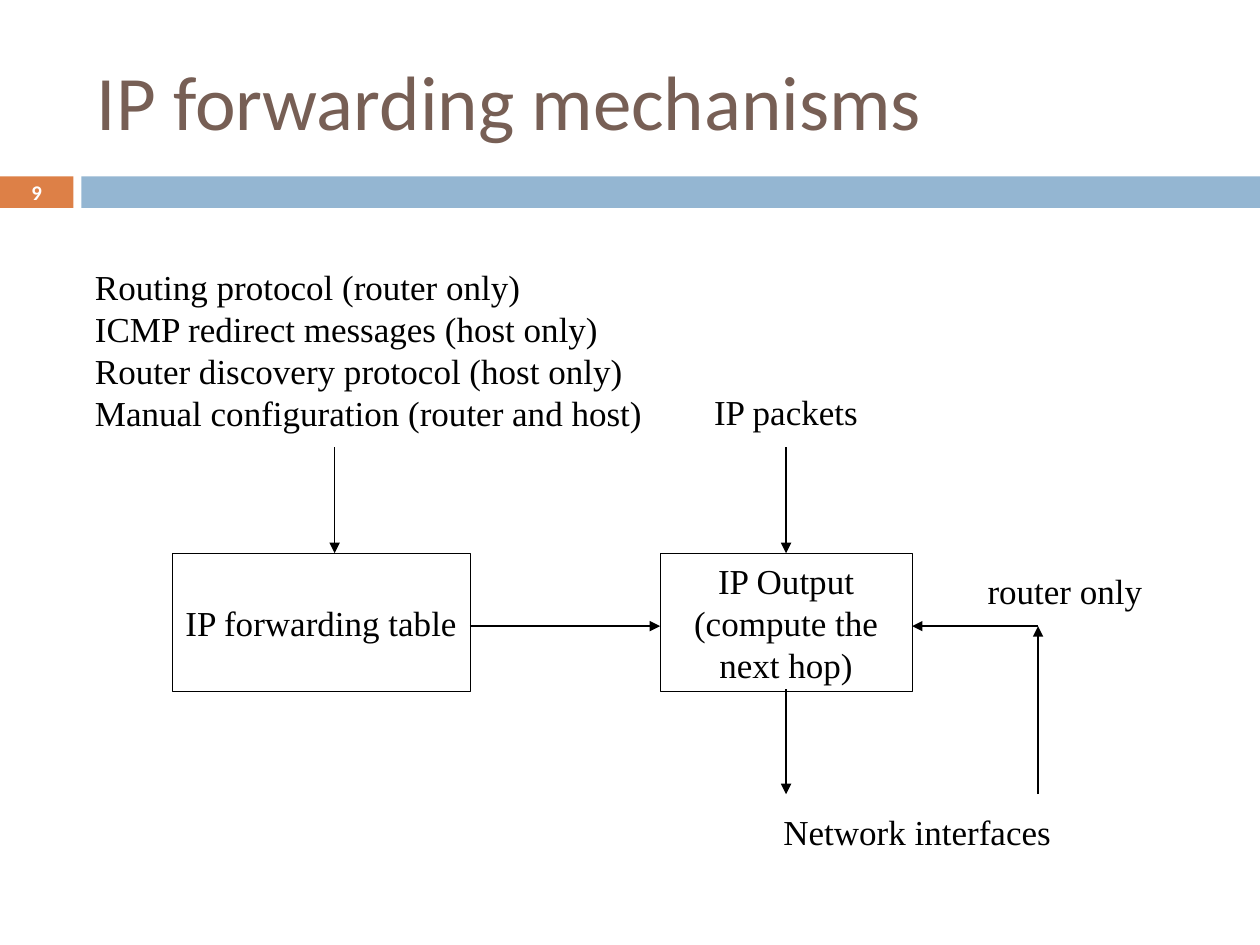
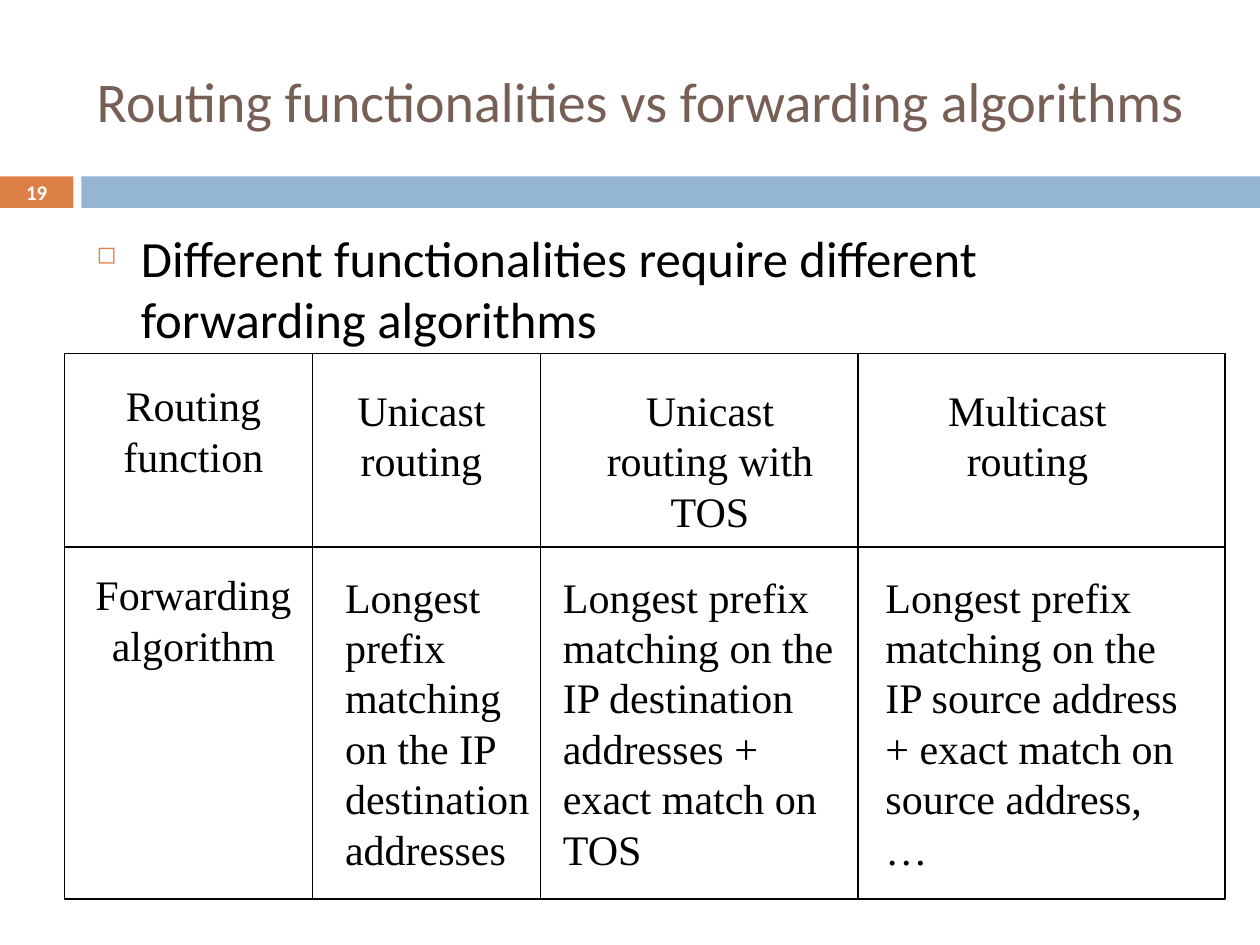
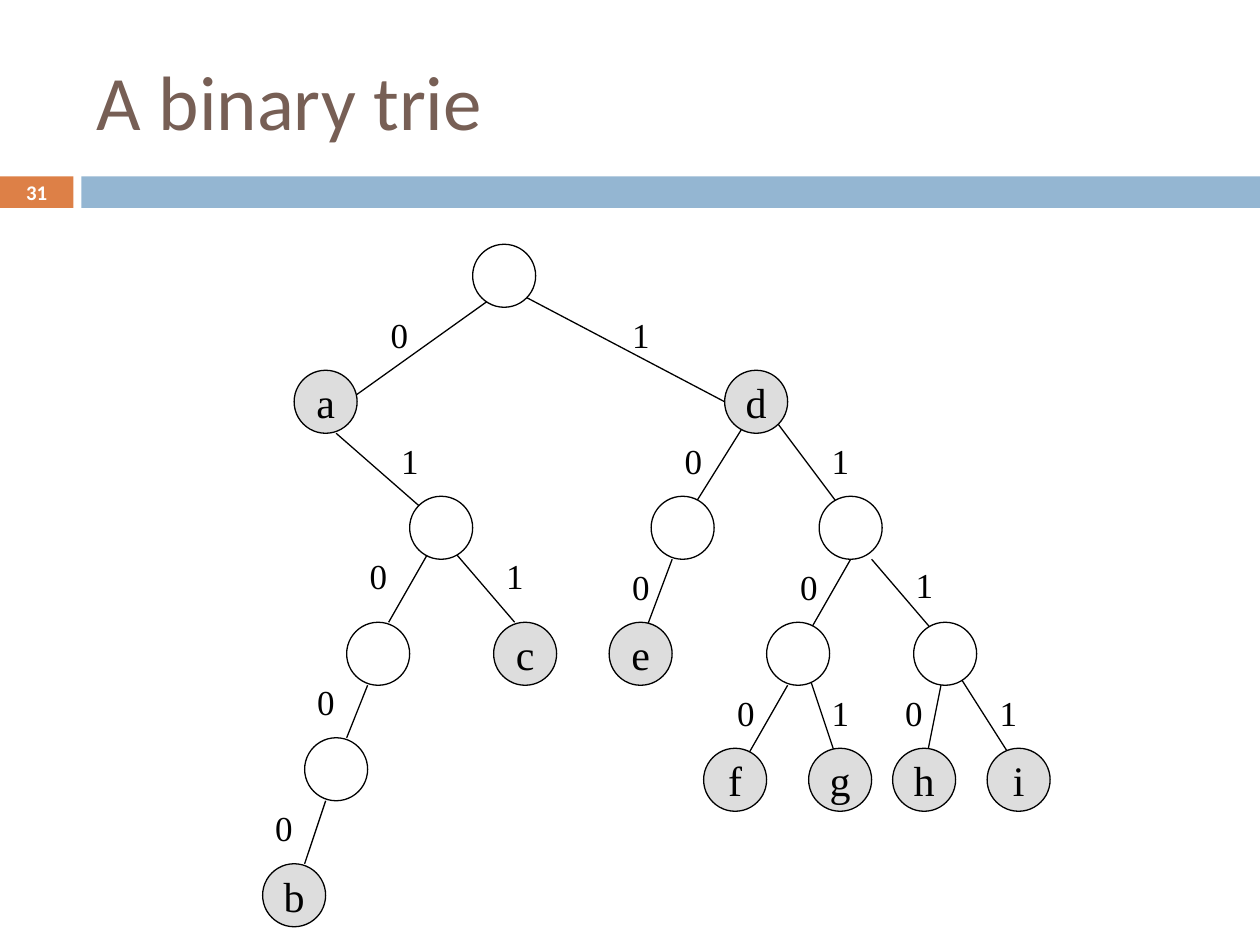
from pptx import Presentation
from pptx.dml.color import RGBColor as Rgb
from pptx.enum.shapes import MSO_CONNECTOR as Conn, MSO_SHAPE as Kind
from pptx.enum.text import MSO_ANCHOR as Anchor, PP_ALIGN as Align
from pptx.oxml import parse_xml
from pptx.oxml.ns import nsdecls, qn
from pptx.oxml.xmlchemy import OxmlElement as Tag
from pptx.util import Pt

HUES = {"ink": "000000", "white": "FFFFFF", "gray": "DDDDDD",
        "brown": "775F55", "rust": "DD8047", "blue": "94B6D2"}
SANS, SERIF = "Calibri", "Times New Roman"
MID = {"vertical_anchor": Anchor.MIDDLE}
WIDE = (48.2, 18.2, 642.2, 77.8)


def hue(name):
    """Return the named colour."""
    return Rgb.from_string(HUES[name])


def put(item, vals):
    """Set every attribute in vals on item."""
    for key, val in vals.items():
        setattr(item, key, val)


def write(frame, lines, size, face=SERIF, color="ink", align=Align.LEFT, bold=False):
    """Fill a text frame with one paragraph per line."""
    for num, line in enumerate(lines):
        para = frame.add_paragraph() if num else frame.paragraphs[0]
        para.text = line
        para.alignment = align
        if face == SERIF:
            para.line_spacing = Pt(size * 1.2)
        put(para.font, {"name": face, "size": Pt(size), "bold": bold})
        para.font.color.rgb = hue(color)


def label(slide, box, lines, size, frame=None, **style):
    """Add a text box and return its text frame."""
    text = slide.shapes.add_textbox(*map(Pt, box)).text_frame
    put(text, {"word_wrap": True, **(frame or {})})
    write(text, lines, size, **style)
    return text


def block(slide, kind, box, fill=None, line=None):
    """Add a flat shape with an optional fill and outline width."""
    item = slide.shapes.add_shape(kind, *map(Pt, box))
    item.shadow.inherit = False
    if fill:
        item.fill.solid()
        item.fill.fore_color.rgb = hue(fill)
    else:
        item.fill.background()
    if line:
        item.line.color.rgb = hue("ink")
        item.line.width = Pt(line)
    else:
        item.line.fill.background()
    return item


def link(slide, start, end, arrow=False):
    """Draw a thin line, with an arrowhead at its end if asked."""
    wire = slide.shapes.add_connector(Conn.STRAIGHT, *map(Pt, (*start, *end)))
    wire.line.color.rgb = hue("ink")
    wire.line.width = Pt(0.75)
    props = wire.element.spPr
    if arrow:
        head = Tag("a:tailEnd")
        head.set("type", "triangle")
        props.find(qn("a:ln")).append(head)
    props.append(Tag("a:effectLst"))


def begin(deck, title, page, size=44):
    """Add a slide with the title, the band and the page number."""
    slide = deck.slides.add_slide(deck.slide_layouts[6])
    block(slide, Kind.RECTANGLE, (0, 100.8, 42, 18), "rust")
    block(slide, Kind.RECTANGLE, (46.5, 100.8, 673.5, 18), "blue")
    label(slide, WIDE, [title], size, MID, face=SANS, color="brown")
    label(slide, (0, 100, 42, 19.4), [page], 11.9, MID, face=SANS,
          color="white", align=Align.CENTER, bold=True)
    return slide


def flow(slide, box):
    """Draw the forwarding diagram inside the box."""
    left, top, width, height = box

    def spot(x, y):
        """Shift a point into the box."""
        return left + x, top + y

    for x, wide, text, pad in ((51.3, 170, "IP forwarding table", 3.6),
                               (330, 144, "IP Output (compute the next hop)", 7.2)):
        frame = block(slide, Kind.RECTANGLE, (*spot(x, 168.5), wide, 79.2),
                      line=0.25).text_frame
        put(frame, {"word_wrap": True, "margin_left": Pt(pad),
                    "margin_right": Pt(pad), **MID})
        write(frame, [text], 20, align=Align.CENTER)
    for start, end in (((144, 108), (144, 168.5)), ((221.3, 210.2), (330, 210.2)),
                       ((402, 108), (402, 168.5)), ((402, 246.2), (402, 306.2)),
                       ((546, 210.2), (474, 210.2)), ((546, 306.2), (546, 210.2))):
        link(slide, spot(*start), spot(*end), arrow=True)
    label(slide, (*spot(0, 0.4), 340.6, 103.2),
          ["Routing protocol (router only)", "ICMP redirect messages (host only)",
           "Router discovery protocol (host only)",
           "Manual configuration (router and host)"], 20)
    label(slide, (*spot(353.8, 72), 108, 31), ["IP packets"], 20)
    label(slide, (*spot(366, 312.1), 221.8, 31), ["Network interfaces"], 20,
          align=Align.CENTER)
    label(slide, (*spot(510, 174.2), 126, 31), ["router only"], 20)


def point(slide, box, text):
    """Add one line of body text with a square bullet."""
    frame = label(slide, box, [text], 29, face=SANS)
    props = frame.paragraphs[0]._p.get_or_add_pPr()
    props.set("marL", str(Pt(25.2)))
    props.set("indent", str(Pt(-25.2)))
    for xml in (f'<a:buClr {nsdecls("a")}><a:srgbClr val="{HUES["rust"]}"/></a:buClr>',
                f'<a:buSzPct {nsdecls("a")} val="48000"/>',
                f'<a:buChar {nsdecls("a")} char="◻"/>'):
        props.append(parse_xml(xml))


def matrix(slide, box):
    """Draw the ruled grid of functions and algorithms inside the box."""
    left, top, width, height = box
    heads = ((0, 11.6, "Routing function"), (0, 119.6, "Forwarding algorithm"),
             (130.3, 14.4, "Unicast routing"),
             (295.2, 14.4, "Unicast routing with TOS"),
             (476.6, 14.4, "Multicast routing"))
    notes = ((153.4, 130.3, "Longest prefix matching on the IP destination addresses"),
             (277.9, 175.7, "Longest prefix matching on the IP destination addresses"
                            " + exact match on TOS"),
             (462.2, 190.1, "Longest prefix matching on the IP source address"
                            " + exact match on source address, …"))
    block(slide, Kind.RECTANGLE, box, line=0.75)
    for x, y, text in heads:
        label(slide, (left + x, top + y, 147.6, 64.8), [text], 24, align=Align.CENTER)
    for x, wide, text in notes:
        label(slide, (left + x, top + 121, wide, 180), [text], 24)
    link(slide, (left, top + 110.7), (left + width, top + 110.7))
    for x in (141.8, 272.2, 453.6):
        link(slide, (left + x, top), (left + x, top + height))


def trie(slide, box):
    """Draw the binary trie on a grid of 75 by 65 units in the box."""
    left, top, width, height = box
    unit = width / 75
    nodes = ((20, 0, ""), (3, 12, "a"), (44, 12, "d"), (14, 24, ""), (37, 24, ""),
             (53, 24, ""), (8, 36, ""), (22, 36, "c"), (33, 36, "e"), (48, 36, ""),
             (62, 36, ""), (4, 47, ""), (42, 48, "f"), (52, 48, "g"), (60, 48, "h"),
             (69, 48, "i"), (0, 59, "b"))
    edges = (((22, 5), (8, 15), "0", (11, 6)), ((25, 5), (44, 15), "1", (34, 6)),
             ((7, 18), (15, 25), "1", (12, 18)), ((46, 17), (41, 25), "0", (39, 18)),
             ((49, 17), (55, 25), "1", (53, 18)), ((16, 29), (12, 36), "0", (9, 29)),
             ((18, 29), (24, 36), "1", (22, 29)), ((39, 30), (36, 38), "0", (34, 30)),
             ((56, 30), (52, 37), "0", (50, 30)), ((58, 30), (64, 37), "1", (61, 29.8)),
             ((10, 42), (8, 47), "0", (4, 41)), ((50, 42), (46, 49), "0", (44, 42)),
             ((52, 41), (55, 50), "1", (53, 42)), ((65, 40), (63, 50), "0", (60, 42)),
             ((65, 39), (72, 50), "1", (69, 42)), ((6, 53), (4, 59), "0", (0, 53)))

    def spot(x, y):
        """Turn grid units into a point on the slide."""
        return left + x * unit, top + y * unit

    for start, end, bit, place in edges:
        link(slide, spot(*start), spot(*end))
    for x, y, name in nodes:
        ball = block(slide, Kind.OVAL, (*spot(x, y), 6 * unit, 6 * unit),
                     "gray" if name else "white", 0.75)
        if name:
            put(ball.text_frame, {"word_wrap": False, **MID})
            write(ball.text_frame, [name], 24, align=Align.CENTER)
    for start, end, bit, place in edges:
        label(slide, (*spot(*place), 24.5, 31), [bit], 20)


def main():
    """Build the three slides and save them."""
    deck = Presentation()
    put(deck, {"slide_width": Pt(720), "slide_height": Pt(540)})
    flow(begin(deck, "IP forwarding mechanisms", "9"), (47.2, 147.6, 636, 344))
    slide = begin(deck, "Routing functionalities vs forwarding algorithms", "19", 32)
    point(slide, (48.2, 126, 642.2, 354.2),
          "Different functionalities require different forwarding algorithms")
    matrix(slide, (36.7, 201.8, 663.3, 311.9))
    trie(begin(deck, "A binary trie", "31"), (150.1, 139.6, 450, 390))
    deck.save("out.pptx")


if __name__ == "__main__":
    main()
